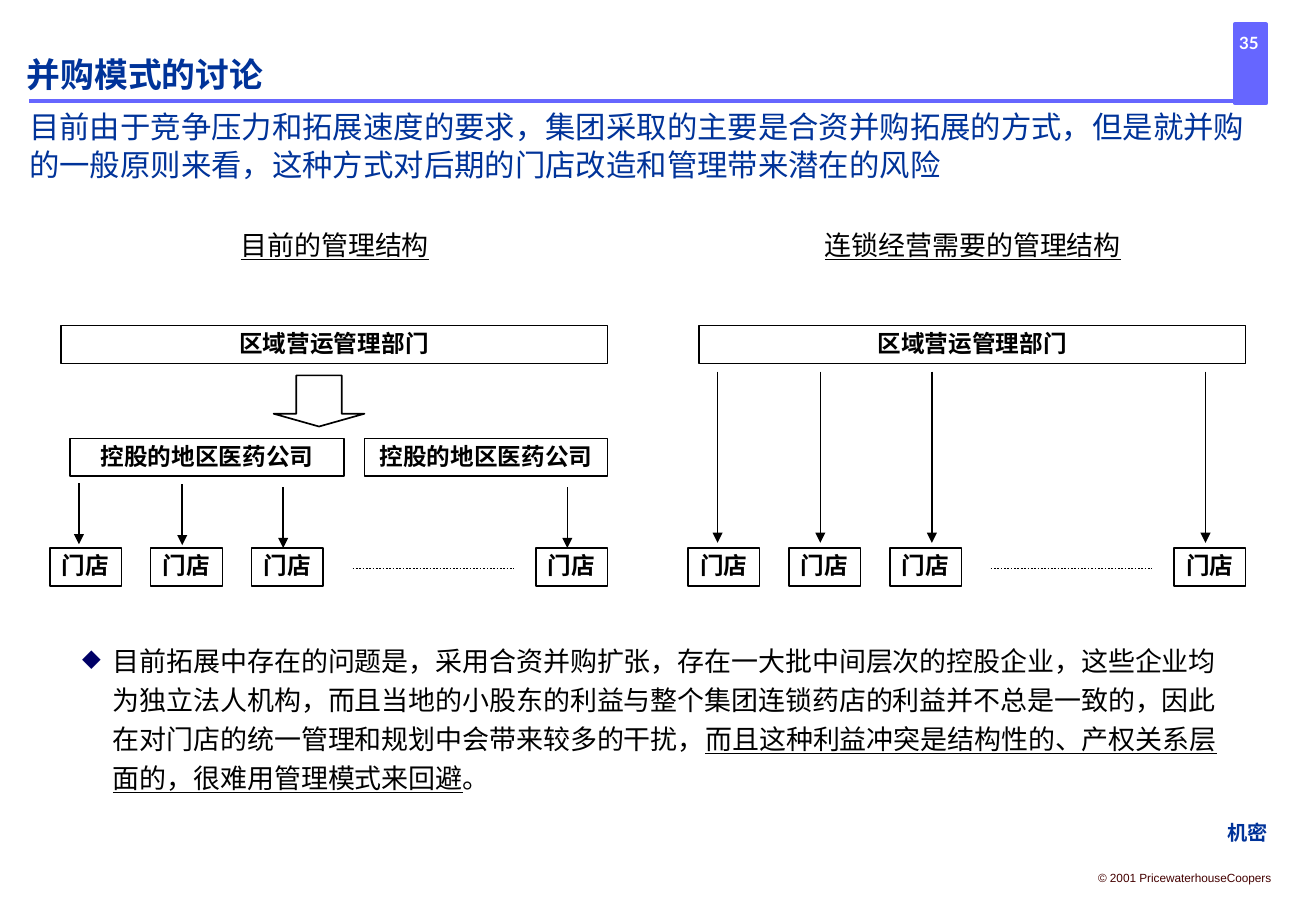
import pptx
import pptx.util
import pptx.dml.color
import pptx.enum.dml
import pptx.enum.shapes
import pptx.enum.text
import pptx.oxml.ns
from lxml import etree

Cm, Pt = pptx.util.Cm, pptx.util.Pt
RGB = pptx.dml.color.RGBColor
SHAPE = pptx.enum.shapes.MSO_SHAPE
ALIGN = pptx.enum.text.PP_ALIGN
ANCHOR = pptx.enum.text.MSO_ANCHOR
qn = pptx.oxml.ns.qn

BLACK = RGB(0x00, 0x00, 0x00)
WHITE = RGB(0xFF, 0xFF, 0xFF)
NAVY = RGB(0x00, 0x33, 0x99)
VIOLET = RGB(0x66, 0x66, 0xFF)
MAROON = RGB(0x44, 0x00, 0x00)
HAN = "Noto Sans CJK SC"

# Content
TOPIC = "并购模式的讨论"
TITLE = ("目前由于竞争压力和拓展速度的要求，集团采取的主要是合资并购拓展的方式，"
         "但是就并购的一般原则来看，这种方式对后期的门店改造和管理带来潜在的风险")
HEADS = ["目前的管理结构", "连锁经营需要的管理结构"]
REGION, HOLDER, STORE = "区域营运管理部门", "控股的地区医药公司", "门店"
POINT = [
    ("目前拓展中存在的问题是，采用合资并购扩张，存在一大批中间层次的控股企业，"
     "这些企业均为独立法人机构，而且当地的小股东的利益与整个集团连锁药店的利益"
     "并不总是一致的，因此在对门店的统一管理和规划中会带来较多的干扰，", False),
    ("而且这种利益冲突是结构性的、产权关系层面的，很难用管理模式来回避", True),
    ("。", False),
]
# Small texts: words, box, size, font, colour, bold
MARKS = [
    ("35", (25.22, 0.64, 1.78, 0.51), 10, "Lato", WHITE, True),
    ("© 2001 PricewaterhouseCoopers", (22.71, 18.08, 4.11, 0.56), 7, "Arial", MAROON, False),
    ("机密", (25.4, 17.02, 1.35, 0.76), 12, "Arial", NAVY, True),
]

# Layout in cm
SHIFT = 13.34                      # from left chart to right chart
BOX_H = 0.79
STORES = [1.04 + 2.11 * i for i in range(3)] + [11.2]
STORE_Y, STORE_W = 11.46, 1.5
HOLDERS = [(1.47, 5.72), (7.62, 5.08)]
DROPS = [                          # x, top, bottom
    [(1.65, 10.11, 11.38), (3.81, 10.13, 11.4), (5.92, 10.19, 11.46), (11.86, 10.19, 11.46)],
    [(x, 7.77, 11.35) for x in (15.0, 17.15, 19.48, 25.2)],
]

prs = pptx.Presentation()
prs.slide_width, prs.slide_height = Cm(27.51), Cm(19.05)
slide = prs.slides.add_slide(prs.slide_layouts[5])
shapes = slide.shapes


def add_run(para, text, size, font, color, bold=False, under=False):
    run = para.add_run()
    run.text = text
    face = run.font
    face.size, face.name, face.bold, face.underline = Pt(size), font, bold, under
    face.color.rgb = color
    east = etree.Element(qn("a:ea"), typeface=HAN)
    face._element.find(qn("a:latin")).addnext(east)


def set_frame(shape, align, anchor, wrap=True, inset=True):
    frame = shape.text_frame
    frame.auto_size = pptx.enum.text.MSO_AUTO_SIZE.NONE
    frame.word_wrap, frame.vertical_anchor = wrap, anchor
    side, edge = (Cm(0.25), Cm(0.13)) if inset else (0, 0)
    frame.margin_left = frame.margin_right = side
    frame.margin_top = frame.margin_bottom = edge
    para = frame.paragraphs[0]
    para.alignment = align
    return para


def add_text(box, align, anchor, wrap=True, inset=True):
    shape = shapes.add_textbox(*map(Cm, box))
    return set_frame(shape, align, anchor, wrap, inset)


def add_form(kind, box, color=BLACK, width=1):
    shape = shapes.add_shape(kind, *map(Cm, box))
    shape.shadow.inherit = False
    shape.fill.background()
    shape.line.color.rgb, shape.line.width = color, Pt(width)
    return shape


def add_box(text, x, y, w, wrap=True):
    shape = add_form(SHAPE.RECTANGLE, (x, y, w, BOX_H))
    para = set_frame(shape, ALIGN.CENTER, ANCHOR.MIDDLE, wrap)
    para.line_spacing = 0.9
    add_run(para, text, 14, "Roboto", BLACK, True)


def add_line(x1, y1, x2, y2, color=BLACK, width=1, arrow=False):
    line = shapes.add_connector(pptx.enum.shapes.MSO_CONNECTOR.STRAIGHT,
                                Cm(x1), Cm(y1), Cm(x2), Cm(y2))
    line.line.color.rgb, line.line.width = color, Pt(width)
    props = line._element.spPr
    if arrow:
        etree.SubElement(props.find(qn("a:ln")), qn("a:tailEnd"), type="triangle")
    etree.SubElement(props, qn("a:effectLst"))
    return line


# Page frame
tab = add_form(SHAPE.RECTANGLE, (25.81, 0.51, 0.66, 1.65), VIOLET, 2.25)
tab.fill.solid()
tab.fill.fore_color.rgb = VIOLET
add_line(0.61, 2.12, 26.11, 2.12, VIOLET, 2.25)
for text, box, size, font, color, bold in MARKS:
    para = add_text(box, ALIGN.CENTER, ANCHOR.MIDDLE, False, False)
    add_run(para, text, size, font, color, bold)

# Title and topic
title = shapes.title
title.left, title.top, title.width, title.height = map(Cm, (0.61, 2.11, 25.83, 1.7))
para = set_frame(title, ALIGN.LEFT, ANCHOR.BOTTOM, inset=False)
para.line_spacing = Pt(22)
add_run(para, TITLE, 18, HAN, NAVY)
para = add_text((0.56, 0.46, 24.66, 1.52), ALIGN.LEFT, ANCHOR.BOTTOM, inset=False)
add_run(para, TOPIC, 20, HAN, NAVY, True)

# Both charts
for i, (head, drops) in enumerate(zip(HEADS, DROPS)):
    dx = SHIFT * i
    para = add_text((3.0 + dx, 4.65, 8.0, 0.94), ALIGN.CENTER, ANCHOR.TOP)
    add_run(para, head, 16, HAN, BLACK, under=True)
    add_box(REGION, 1.27 + dx, 6.81, 11.43)
    for x in STORES:
        add_box(STORE, x + dx, STORE_Y, STORE_W, False)
    dots = add_line(7.37 + dx, 11.89, 10.74 + dx, 11.89)
    dots.line.dash_style = pptx.enum.dml.MSO_LINE.ROUND_DOT
    for x, top, end in drops:
        add_line(x, top, x, end, arrow=True)

# Middle level of the left chart
for x, w in HOLDERS:
    add_box(HOLDER, x, 9.17, w)
down = add_form(SHAPE.DOWN_ARROW, (5.72, 7.85, 1.9, 1.07))
down.adjustments[0], down.adjustments[1] = 0.5, 0.25

# Conclusion
para = add_text((1.47, 13.21, 24.56, 3.51), ALIGN.LEFT, ANCHOR.TOP)
para.line_spacing = Pt(23.1)
props = para._p.get_or_add_pPr()
props.set("marL", str(Cm(0.64)))
props.set("indent", str(-Cm(0.64)))
tint = etree.SubElement(props, qn("a:buClr"))
etree.SubElement(tint, qn("a:srgbClr"), val="000066")
etree.SubElement(props, qn("a:buSzPct"), val="90000")
etree.SubElement(props, qn("a:buChar"), char="◆")
for text, under in POINT:
    add_run(para, text, 16, HAN, BLACK, under=under)

prs.save("out.pptx")
